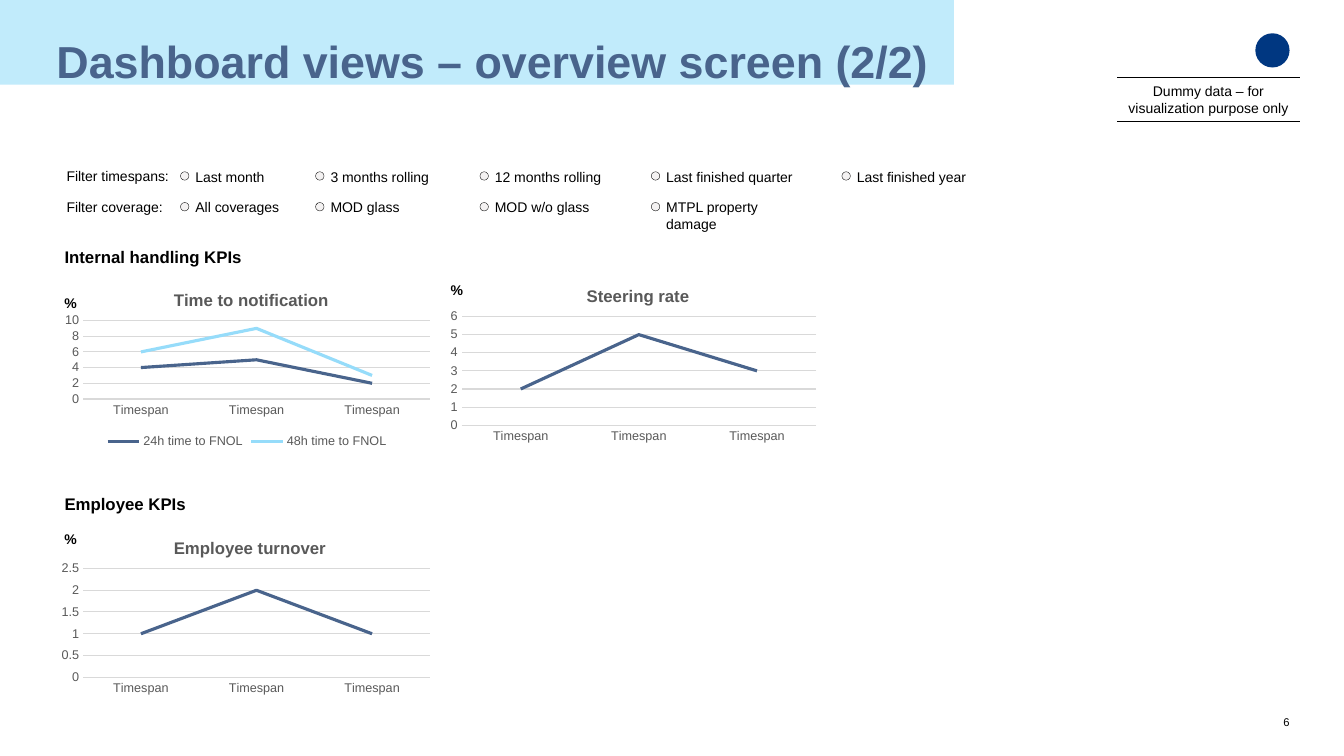
from dataclasses import dataclass

import lxml.etree
import pptx
import pptx.chart.chart
import pptx.chart.data
import pptx.dml.color
import pptx.enum.chart
import pptx.enum.shapes
import pptx.enum.text
import pptx.oxml
import pptx.oxml.ns
import pptx.slide
import pptx.text.text
import pptx.util

RGB = pptx.dml.color.RGBColor
BLACK = RGB(0, 0, 0)
NAVY = RGB(0x49, 0x64, 0x8C)
SKY = RGB(0x96, 0xDC, 0xFA)
BAND = RGB(0xC1, 0xEB, 0xFB)
EMBLEM = RGB(0x00, 0x37, 0x81)
OPTION_FILL = RGB(0xF4, 0xF2, 0xF2)
GREY = RGB(0x59, 0x59, 0x59)
GRID = RGB(0xD9, 0xD9, 0xD9)
FONT = "Arial"
WIDTH, HEIGHT = pptx.util.Inches(13.33), pptx.util.Inches(7.5)
PAD = pptx.util.Inches(0.08)
ALIGN = pptx.enum.text.PP_ALIGN
ANCHOR = pptx.enum.text.MSO_ANCHOR
SHAPE = pptx.enum.shapes.MSO_SHAPE

# Places are percentages of the slide's width and height
LEFT = 4.2
OPTION_COLUMNS = (13.43, 23.48, 35.71, 48.46, 62.64)
FILTER_TOP, FILTER_STEP = 21.07, 4.07
CHART_WIDTH, CHART_HEIGHT = 28.36, 23.6


@dataclass(frozen=True)
class Area:
    left: float
    top: float
    width: float
    height: float

    def emu(self) -> tuple[int, int, int, int]:
        return (int(WIDTH * self.left / 100), int(HEIGHT * self.top / 100),
                int(WIDTH * self.width / 100), int(HEIGHT * self.height / 100))


@dataclass(frozen=True)
class Filter:
    label: str
    options: tuple[str, ...]


@dataclass(frozen=True)
class LineChart:
    title: str
    title_left: float  # share of the chart's width
    left: float
    top: float
    unit_top: float
    plot: tuple[float, float, float, float]  # shares of the chart
    maximum: float
    step: float
    series: tuple[tuple[str, tuple[int, ...]], ...]


FILTERS = (
    Filter("Filter timespans:", ("Last month", "3 months rolling", "12 months rolling",
                                 "Last finished quarter", "Last finished year")),
    Filter("Filter coverage:", ("All coverages", "MOD glass", "MOD w/o glass",
                                "MTPL property damage")),
)
HEADINGS = (("Internal handling KPIs", 31.6), ("Employee KPIs", 64.27))
CHARTS = (
    LineChart("Time to notification", 0.3, LEFT, 36.27, 37.87, (0.07, 0.26, 0.91, 0.44), 10, 2,
              (("24h time to FNOL", (4, 5, 2)), ("48h time to FNOL", (6, 9, 3)))),
    LineChart("Steering rate", 0.37, 32.93, 35.73, 36.13, (0.05, 0.26, 0.93, 0.61), 6, 1,
              (("Series 1", (2, 5, 3)),)),
    LineChart("Employee turnover", 0.3, LEFT, 69.07, 69.07, (0.07, 0.26, 0.91, 0.61), 2.5, 0.5,
              (("Series 1", (1, 2, 1)),)),
)


def style(font: pptx.text.text.Font, size: float, color: RGB, bold: bool = False) -> None:
    font.name, font.size, font.bold = FONT, pptx.util.Pt(size), bold
    font.color.rgb = color


def add_text(page: pptx.slide.Slide, text: str, area: Area, size: float = 10,
             color: RGB = BLACK, bold: bool = False, align: ALIGN = ALIGN.LEFT,
             anchor: ANCHOR = ANCHOR.TOP, pad: int = PAD, wrap: bool = True) -> None:
    frame = page.shapes.add_textbox(*area.emu()).text_frame
    frame.word_wrap, frame.vertical_anchor = wrap, anchor
    frame.margin_left = frame.margin_right = frame.margin_top = frame.margin_bottom = pad
    para = frame.paragraphs[0]
    para.text, para.alignment = text, align
    style(para.font, size, color, bold)


def add_block(page: pptx.slide.Slide, kind: SHAPE, area: Area, fill: RGB,
              outline: bool = False) -> None:
    block = page.shapes.add_shape(kind, *area.emu())
    block.shadow.inherit = False
    block.fill.solid()
    block.fill.fore_color.rgb = fill
    if outline:
        block.line.color.rgb, block.line.width = BLACK, pptx.util.Pt(0.25)
    else:
        block.line.fill.background()


def add_rule(page: pptx.slide.Slide, left: float, top: float, width: float) -> None:
    x, y, length, _ = Area(left, top, width, 0).emu()
    rule = page.shapes.add_connector(pptx.enum.shapes.MSO_CONNECTOR.STRAIGHT, x, y, x + length, y)
    rule.line.color.rgb, rule.line.width = BLACK, pptx.util.Pt(0.75)
    lxml.etree.SubElement(rule.element.spPr, pptx.oxml.ns.qn("a:effectLst"))


def add_filter(page: pptx.slide.Slide, row: int, item: Filter) -> None:
    top = FILTER_TOP + row * FILTER_STEP
    add_text(page, item.label, Area(4.35, top, 9, 4.4), wrap=False)
    for left, option in zip(OPTION_COLUMNS, item.options):
        add_block(page, SHAPE.OVAL, Area(left, top + 1.65, 0.63, 1.12), OPTION_FILL, True)
        add_text(page, option, Area(left + 0.51, top + 0.1, 12, 4.4), wrap=False)


def set_layout(parent: lxml.etree._Element, index: int, target: str = "",
               **places: float) -> None:
    """Fix the place of a chart part, in shares of the chart."""
    for old in parent.findall(pptx.oxml.ns.qn("c:layout")):
        parent.remove(old)
    modes = '<c:xMode val="edge"/><c:yMode val="edge"/>'
    values = "".join(f'<c:{name} val="{value}"/>' for name, value in places.items())
    parent.insert(index, pptx.oxml.parse_xml(
        f'<c:layout {pptx.oxml.ns.nsdecls("c")}><c:manualLayout>'
        f'{target}{modes}{values}</c:manualLayout></c:layout>'))


def style_axes(chart: pptx.chart.chart.Chart, item: LineChart) -> None:
    for axis in (chart.category_axis, chart.value_axis):
        axis.major_tick_mark = axis.minor_tick_mark = pptx.enum.chart.XL_TICK_MARK.NONE
        style(axis.tick_labels.font, 9, GREY)
    chart.category_axis.format.line.color.rgb = GRID
    chart.category_axis.format.line.width = pptx.util.Pt(0.75)
    values = chart.value_axis
    values.minimum_scale, values.maximum_scale, values.major_unit = 0, item.maximum, item.step
    values.format.line.fill.background()
    values.major_gridlines.format.line.color.rgb = GRID
    values.major_gridlines.format.line.width = pptx.util.Pt(0.75)


def add_line_chart(page: pptx.slide.Slide, item: LineChart) -> None:
    data = pptx.chart.data.CategoryChartData()
    data.categories = ["Timespan"] * 3
    for name, values in item.series:
        data.add_series(name, values)
    area = Area(item.left, item.top, CHART_WIDTH, CHART_HEIGHT)
    chart = page.shapes.add_chart(pptx.enum.chart.XL_CHART_TYPE.LINE, *area.emu(), data).chart
    style(chart.font, 10, BLACK)
    style_axes(chart, item)

    chart.has_title = True
    para = chart.chart_title.text_frame.paragraphs[0]
    para.text = item.title
    style(para.font, 12, GREY, True)
    set_layout(chart.chart_title.element, 1, x=item.title_left, y=0.07)
    x, y, w, h = item.plot
    plot_area = chart.element.find(".//" + pptx.oxml.ns.qn("c:plotArea"))
    set_layout(plot_area, 0, '<c:layoutTarget val="inner"/>', x=x, y=y, w=w, h=h)

    chart.plots[0].vary_by_categories = False
    for series, color in zip(chart.plots[0].series, (NAVY, SKY)):
        series.smooth = False
        series.marker.style = pptx.enum.chart.XL_MARKER_STYLE.NONE
        series.format.line.color.rgb, series.format.line.width = color, pptx.util.Pt(2.25)
    chart.has_legend = len(item.series) > 1
    if chart.has_legend:
        chart.legend.position = pptx.enum.chart.XL_LEGEND_POSITION.BOTTOM
        chart.legend.include_in_layout = False
        style(chart.legend.font, 9, GREY)
    add_text(page, "%", Area(item.left, item.unit_top, 3.45, 4.4), bold=True,
             anchor=ANCHOR.MIDDLE)


def main() -> None:
    deck = pptx.Presentation()
    deck.slide_width, deck.slide_height = WIDTH, HEIGHT
    page = deck.slides.add_slide(deck.slide_layouts[6])

    # Header band, title, emblem and page number
    add_block(page, SHAPE.RECTANGLE, Area(0, 0, 70.97, 11.2), BAND)
    add_text(page, "Dashboard views – overview screen (2/2)", Area(LEFT, 4.4, 88.37, 7.2),
             32, NAVY, True, pad=0)
    add_block(page, SHAPE.OVAL, Area(93.4, 4.4, 2.55, 4.53), EMBLEM)
    add_text(page, "6", Area(93.4, 94.67, 2.55, 1.73), 8, align=ALIGN.RIGHT,
             anchor=ANCHOR.MIDDLE, pad=0)

    # Data notice between two rules
    for top in (10.27, 16.13):
        add_rule(page, 83.12, top, 13.58)
    add_text(page, "Dummy data – for\vvisualization purpose only", Area(83.12, 9.87, 13.58, 6.67),
             align=ALIGN.CENTER)

    # Filters, section headings and charts
    for row, item in enumerate(FILTERS):
        add_filter(page, row, item)
    for heading, top in HEADINGS:
        add_text(page, heading, Area(LEFT, top, 19.88, 4.8), 12, bold=True)
    for chart_item in CHARTS:
        add_line_chart(page, chart_item)

    deck.save("out.pptx")


if __name__ == "__main__":
    main()
